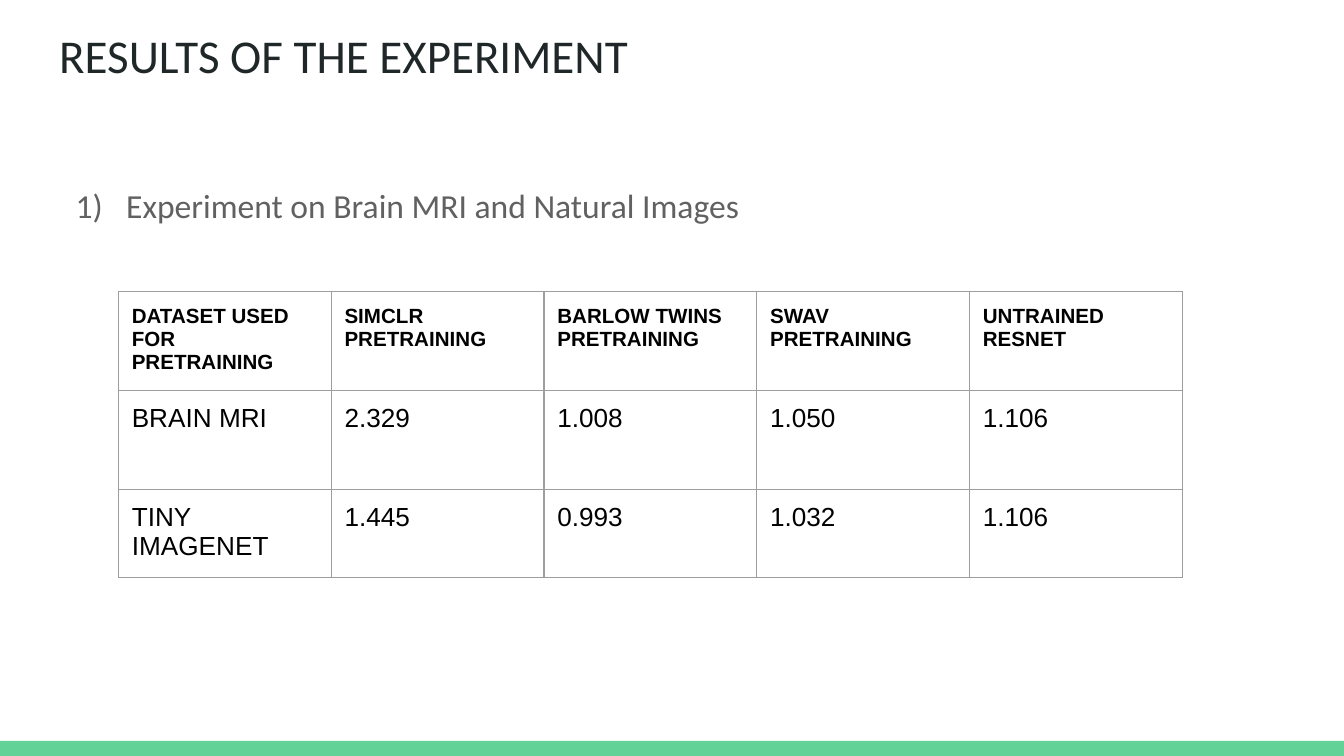
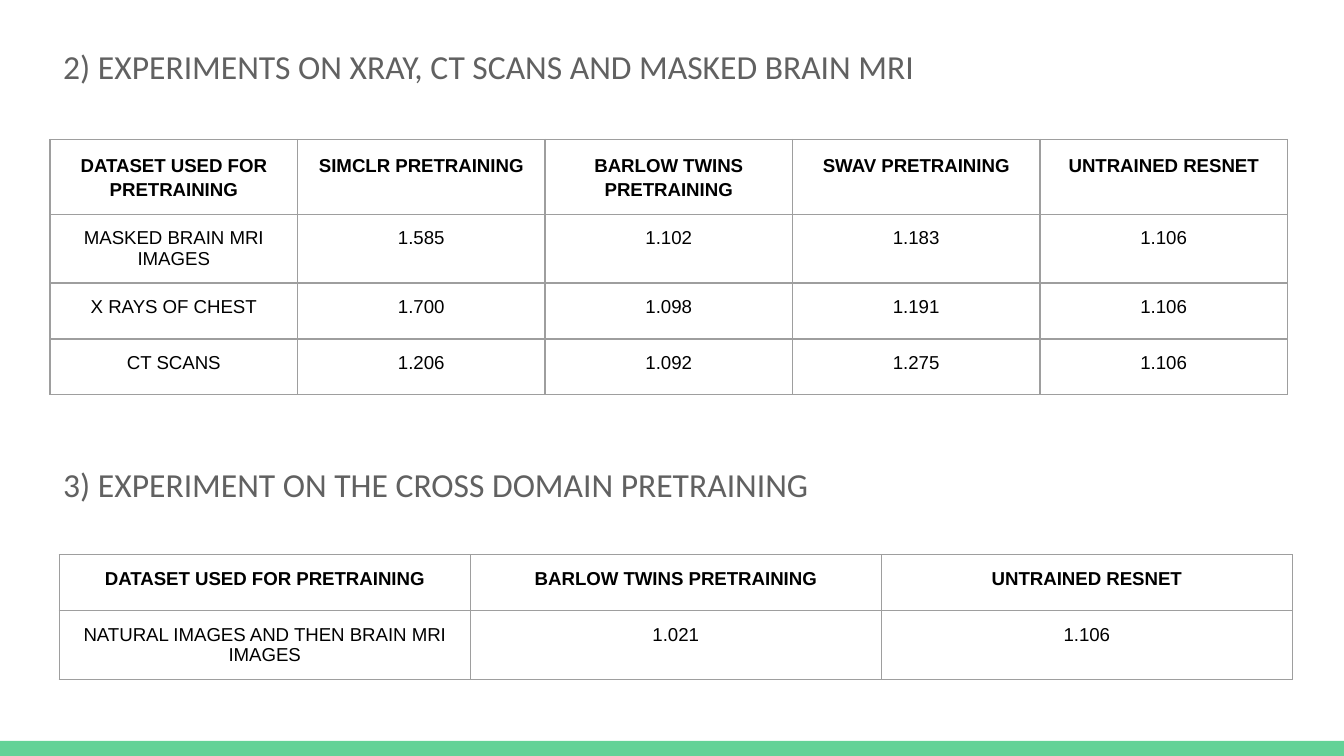
from lxml import etree
from pptx import Presentation
from pptx.dml.color import RGBColor
from pptx.enum import shapes, text
from pptx.oxml.ns import qn
from pptx.util import Pt

WIDE, HIGH, BAND = 720, 405, 8
PAD = 7.2
GREEN, DARK, GRAY, BLACK, EDGE = "63D297", "202729", "616161", "000000", "9E9E9E"

TITLE = "RESULTS OF THE EXPERIMENT"
FIRST = "Experiment on Brain MRI and Natural Images"
SECOND = "2) EXPERIMENTS ON XRAY, CT SCANS AND MASKED BRAIN MRI"
THIRD = "3) EXPERIMENT ON THE CROSS DOMAIN PRETRAINING"

DATA, TWINS, BASE = "DATASET USED FOR PRETRAINING", "BARLOW TWINS PRETRAINING", "UNTRAINED RESNET"
HEAD = [DATA, "SIMCLR PRETRAINING", TWINS, "SWAV PRETRAINING", BASE]
NATURAL = [
    HEAD,
    ["BRAIN MRI", "2.329", "1.008", "1.050", "1.106"],
    ["TINY IMAGENET", "1.445", "0.993", "1.032", "1.106"],
]
SCANS = [
    HEAD,
    ["MASKED BRAIN MRI IMAGES", "1.585", "1.102", "1.183", "1.106"],
    ["X RAYS OF CHEST", "1.700", "1.098", "1.191", "1.106"],
    ["CT SCANS", "1.206", "1.092", "1.275", "1.106"],
]
CROSS = [
    [DATA, TWINS, BASE],
    ["NATURAL IMAGES AND THEN BRAIN MRI IMAGES", "1.021", "1.106"],
]


def color(code):
    return RGBColor.from_string(code)


def sub(parent, tag, **attrs):
    return etree.SubElement(parent, qn(tag), attrs)


def write(frame, words, size=18, font="Calibri", ink=GRAY, bold=False,
          align=text.PP_ALIGN.LEFT, space=None, number=False):
    para = frame.paragraphs[0]
    if number:
        props = para._p.get_or_add_pPr()
        props.set("marL", str(Pt(36)))
        props.set("indent", str(-Pt(27)))
        sub(sub(props, "a:buClr"), "a:srgbClr", val=ink)
        sub(props, "a:buFont", typeface=font)
        sub(props, "a:buAutoNum", type="arabicParenR")
    para.alignment = align
    if space:
        para.line_spacing = space
    run = para.add_run()
    run.text = words
    run.font.size, run.font.name, run.font.bold = Pt(size), font, bold
    run.font.color.rgb = color(ink)


def fit(frame):
    """Wrap at the top of the box, with even insets."""
    frame.word_wrap = True
    frame.auto_size = text.MSO_AUTO_SIZE.NONE
    frame.vertical_anchor = text.MSO_ANCHOR.TOP
    frame.margin_left = frame.margin_right = Pt(PAD)
    frame.margin_top = frame.margin_bottom = Pt(PAD)


def label(slide, box, words, **style):
    frame = slide.shapes.add_textbox(*map(Pt, box)).text_frame
    fit(frame)
    write(frame, words, **style)


def border(cell):
    props = cell._tc.get_or_add_tcPr()
    for side in "LRTB":
        line = sub(props, "a:ln" + side, w=str(Pt(0.75)))
        sub(sub(line, "a:solidFill"), "a:srgbClr", val=EDGE)


def grid(slide, left, top, wide, highs, rows, sizes, lead=None, **style):
    """Draw a table; sizes are the header and body text, lead the header spacing."""
    cols = len(rows[0])
    table = slide.shapes.add_table(len(rows), cols, Pt(left), Pt(top),
                                   Pt(wide * cols), Pt(sum(highs))).table
    table.first_row = table.horz_banding = False
    for col in table.columns:
        col.width = Pt(wide)
    for r, (row, high) in enumerate(zip(rows, highs)):
        table.rows[r].height = Pt(high)
        for c, words in enumerate(row):
            cell = table.cell(r, c)
            border(cell)
            cell.fill.background()
            cell.margin_left = cell.margin_right = Pt(PAD)
            cell.margin_top = cell.margin_bottom = Pt(PAD)
            write(cell.text_frame, words, size=sizes[r > 0], font="Arial", ink=BLACK,
                  bold=r == 0, space=None if r else lead, **style)


def page(deck, layout):
    slide = deck.slides.add_slide(deck.slide_layouts.get_by_name(layout))
    band = slide.shapes.add_shape(shapes.MSO_SHAPE.RECTANGLE, 0, Pt(HIGH - BAND),
                                  Pt(WIDE), Pt(BAND))
    band.shadow.inherit = False
    band.fill.solid()
    band.fill.fore_color.rgb = color(GREEN)
    band.line.fill.background()
    return slide


def main():
    deck = Presentation()
    deck.slide_width, deck.slide_height = Pt(WIDE), Pt(HIGH)

    slide = page(deck, "Title Only")
    title = slide.shapes.title
    title.left, title.top, title.width, title.height = map(Pt, (24.5, 7.2, 671, 45.4))
    fit(title.text_frame)
    write(title.text_frame, TITLE, size=25.2, ink=DARK)
    label(slide, (24.5, 88.6, 671, 242.6), FIRST, space=1.15, number=True)
    grid(slide, 63.4, 156.2, 114, (53, 53, 47.2), NATURAL, (11, 14))

    slide = page(deck, "Blank")
    mid = text.PP_ALIGN.CENTER
    label(slide, (26.8, 17.3, 639.4, 39.6), SECOND)
    grid(slide, 26.8, 74.7, 132.6, [30] * 4, SCANS, (10, 10), lead=1.15, align=mid)
    label(slide, (26.8, 241.2, 579.6, 39.6), THIRD)
    grid(slide, 31.7, 297.2, 220.2, [30] * 2, CROSS, (10, 10), align=mid)

    deck.save("out.pptx")


if __name__ == "__main__":
    main()
